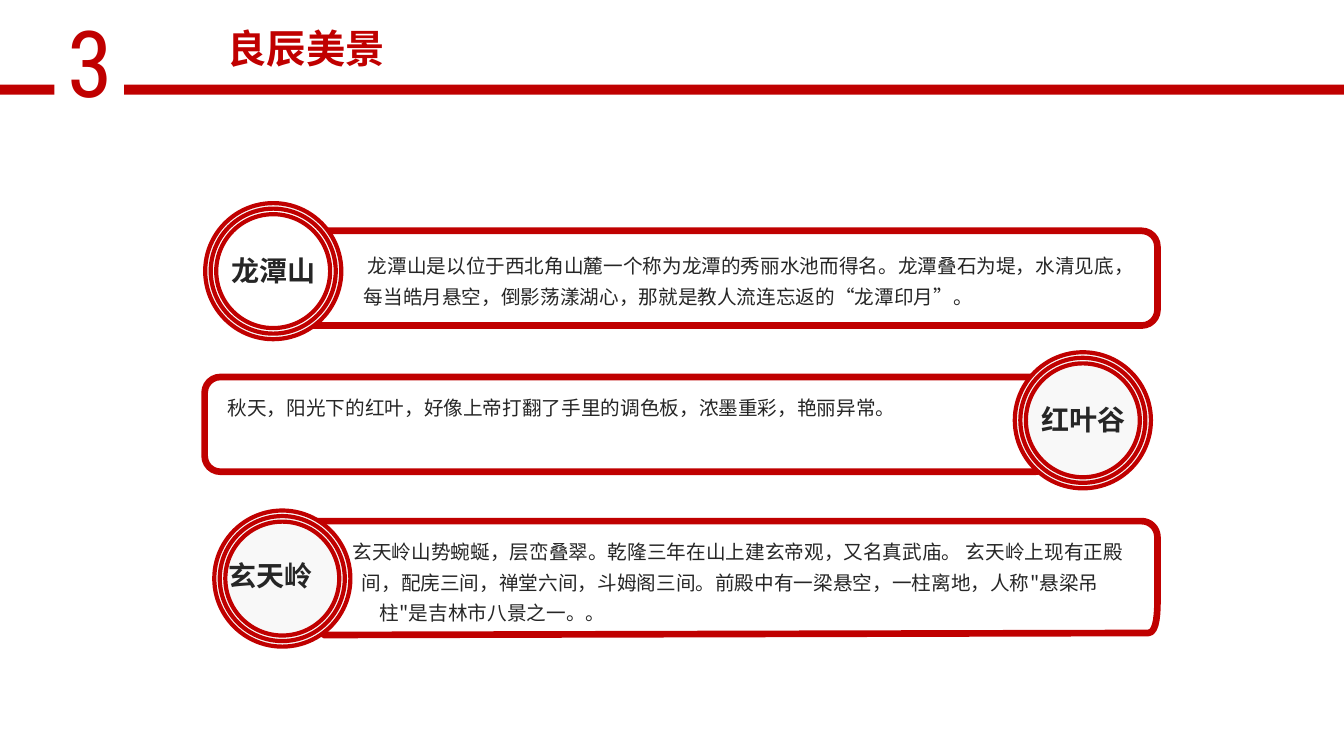
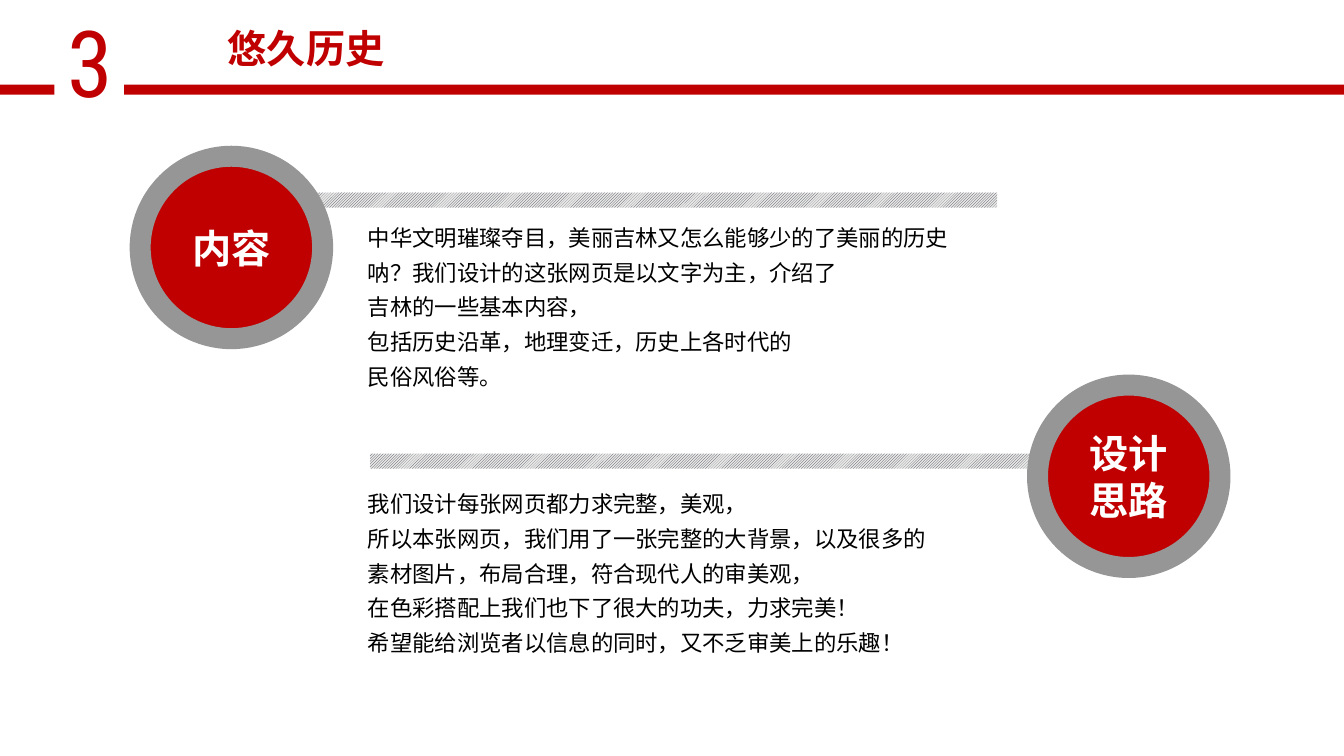
from lxml import etree
from pptx import Presentation
from pptx import util as u
from pptx.dml.color import RGBColor
from pptx.enum import dml, shapes, text
from pptx.oxml.ns import qn

W, H = 13.33, 7.5
RED, GREY, INK = "C00000", "969696", "262626"
CJK, DIGIT = "Noto Sans CJK SC", "Roboto Condensed"
SHAPE = shapes.MSO_SHAPE
CENTER, LEFT = text.PP_ALIGN.CENTER, text.PP_ALIGN.LEFT

SECTION = "3"
RULE_TOP, RULE_H = 0.84, 0.1
RULES = [(1.23, 12.11), (-0.03, 0.57)]  # left, width

# Scenery: bar and body are left, top, width, height; indents are
# (left margin, first line) for each paragraph
RINGS = [1.35, 1.24, 1.13]
SCENERY = [
    dict(name="龙潭山", disc=(2.71, 2.69), label=(2.71, 2.7), fill="FFFFFF",
         bar=(2.96, 2.29, 8.52, 0.94), body=(3.51, 2.4, 7.81, 0.71),
         indents=[(0, 0.04)],
         lines=["龙潭山是以位于西北角山麓一个称为龙潭的秀丽水池而得名。龙潭叠石为堤，水清见底，"
                "每当皓月悬空，倒影荡漾湖心，那就是教人流连忘返的“龙潭印月”。"]),
    dict(name="红叶谷", disc=(10.74, 4.17), label=(10.75, 4.17), fill="F8F8F8",
         bar=(2.03, 3.74, 8.4, 0.94), body=(2.16, 3.81, 7.84, 0.67),
         indents=[(0, 0)],
         lines=["秋天，阳光下的红叶，好像上帝打翻了手里的调色板，浓墨重彩，艳丽异常。"]),
    dict(name="玄天岭", disc=(2.8, 5.74), label=(2.68, 5.72), fill="F8F8F8",
         bar=None, body=(3.36, 5.24, 8.11, 1.01),
         indents=[(0.31, -0.27), (0.31, -0.18)],
         lines=["玄天岭山势蜿蜒，层峦叠翠。乾隆三年在山上建玄帝观，又名真武庙。 玄天岭上现有正殿",
                "间，配庑三间，禅堂六间，斗姆阁三间。前殿中有一梁悬空，一柱离地，人称\"悬梁吊柱\"是吉林市八景之一。。"]),
]
# Uneven frame: two numbers are a straight side, six are a curve
FRAME_START = (2.96, 5.33)
FRAME = [(2.96, 5.24, 3.03, 5.17, 3.11, 5.17), (11.32, 5.17),
         (11.41, 5.17, 11.48, 5.24, 11.48, 5.33), (11.48, 5.95),
         (11.48, 6.04, 11.48, 6.28, 11.39, 6.28), (3.21, 6.3), (3.11, 6.11),
         (3.03, 6.11, 2.96, 6.04, 2.96, 5.95)]

DISC, STRIPE_W, STRIPE_H = 1.81, 6.85, 0.15
HISTORY = [
    dict(name=["内容"], disc=(1.39, 1.55), stripe=(3.04, 1.91), body_top=2.09,
         lines=["中华文明璀璨夺目，美丽吉林又怎么能够少的了美丽的历史",
                "呐？我们设计的这张网页是以文字为主，介绍了",
                "吉林的一些基本内容，",
                "包括历史沿革，地理变迁，历史上各时代的",
                "民俗风俗等。"]),
    dict(name=["设计", "思路"], disc=(10.29, 3.82), stripe=(3.67, 4.5), body_top=4.73,
         lines=["我们设计每张网页都力求完整，美观，",
                "所以本张网页，我们用了一张完整的大背景，以及很多的",
                "素材图片，布局合理，符合现代人的审美观，",
                "在色彩搭配上我们也下了很大的功夫，力求完美！",
                "希望能给浏览者以信息的同时，又不乏审美上的乐趣！"]),
]


def rgb(color):
    return RGBColor.from_string(color)


def inches(*lengths):
    return [u.Inches(n) for n in lengths]


def paint(sp, fill=None, line=None, width=0):
    sp.shadow.inherit = False
    if fill:
        sp.fill.solid()
        sp.fill.fore_color.rgb = rgb(fill)
    else:
        sp.fill.background()
    if line:
        sp.line.color.rgb = rgb(line)
        sp.line.width = u.Pt(width)
    else:
        sp.line.fill.background()


def add_shape(s, kind, box, **style):
    sp = s.shapes.add_shape(kind, *inches(*box))
    paint(sp, **style)
    return sp


def write(sp, lines, size, color, font=CJK, bold=False, align=LEFT, spacing=None, indents=None):
    tf = sp.text_frame
    tf.word_wrap = True
    for i, line in enumerate(lines):
        p = tf.paragraphs[0] if i == 0 else tf.add_paragraph()
        p.add_run().text = line
        p.alignment = align
        if spacing:
            p.line_spacing = spacing
        if indents:
            margin, first = inches(*indents[i])
            pPr = p._p.get_or_add_pPr()
            pPr.set("marL", str(margin))
            pPr.set("indent", str(first))
        f = p.font
        f.size, f.bold, f.name = u.Pt(size), bold, font
        f.color.rgb = rgb(color)
        etree.SubElement(f._rPr, qn("a:ea")).set("typeface", font)


def add_text(s, box, lines, size, color, **style):
    write(s.shapes.add_textbox(*inches(*box)), lines, size, color, **style)


def new_slide(prs, title):
    s = prs.slides.add_slide(prs.slide_layouts[6])
    add_text(s, (0.57, 0, 0.34, 1.21), [SECTION], 66, RED, font=DIGIT)
    for left, width in RULES:
        add_shape(s, SHAPE.RECTANGLE, (left, RULE_TOP, width, RULE_H), fill=RED)
    add_text(s, (1.24, 0.19, 3.59, 0.6), [title], 28, RED, bold=True, align=CENTER)
    return s


def curve(a, b, c, d, steps=8):
    """Points along a cubic Bezier curve, without its start."""
    for k in range(1, steps + 1):
        t = k / steps
        v = 1 - t
        yield tuple(v**3 * a[i] + 3 * v * v * t * b[i] + 3 * v * t * t * c[i] + t**3 * d[i]
                    for i in (0, 1))


def add_frame(s):
    points = [FRAME_START]
    for side in FRAME:
        if len(side) == 2:
            points.append(side)
        else:
            points += curve(points[-1], side[:2], side[2:4], side[4:])
    # The builder rounds coordinates to integers, so it gets EMU
    start, *rest = [inches(*point) for point in points]
    builder = s.shapes.build_freeform(*start)
    builder.add_line_segments(rest, close=True)
    paint(builder.convert_to_shape(), line=RED, width=4.75)


def scenery_slide(prs):
    s = new_slide(prs, "良辰美景")
    for place in SCENERY:
        if place["bar"]:
            add_shape(s, SHAPE.ROUNDED_RECTANGLE, place["bar"], line=RED, width=4.75)
        else:
            add_frame(s)
    for place in SCENERY:
        x, y = place["disc"]
        for d, fill in zip(RINGS, ("F8F8F8", place["fill"], None)):
            add_shape(s, SHAPE.OVAL, (x - d / 2, y - d / 2, d, d), fill=fill, line=RED, width=3)
        x, y = place["label"]
        add_text(s, (x - 0.66, y - 0.23, 1.32, 0.46), [place["name"]], 20, INK,
                 bold=True, align=CENTER)
        add_text(s, place["body"], place["lines"], 14, INK, spacing=1.3,
                 indents=place["indents"])


def history_slide(prs):
    s = new_slide(prs, "悠久历史")
    for topic in HISTORY:
        stripe = add_shape(s, SHAPE.RECTANGLE, (*topic["stripe"], STRIPE_W, STRIPE_H))
        stripe.fill.patterned()
        stripe.fill.pattern = dml.MSO_PATTERN.LIGHT_UPWARD_DIAGONAL
        stripe.fill.fore_color.rgb = rgb("414455")
        stripe.fill.back_color.rgb = rgb("E8E8E6")
        disc = add_shape(s, SHAPE.OVAL, (*topic["disc"], DISC, DISC),
                         fill=RED, line=GREY, width=15)
        disc.text_frame.vertical_anchor = text.MSO_ANCHOR.MIDDLE
        write(disc, topic["name"], 28, "FFFFFF", bold=True, align=CENTER)
        add_text(s, (3.55, topic["body_top"], 6.46, 1.85), topic["lines"], 16, "000000",
                 spacing=1.3)


def main():
    prs = Presentation()
    prs.slide_width, prs.slide_height = inches(W, H)
    scenery_slide(prs)
    history_slide(prs)
    prs.save("out.pptx")


if __name__ == "__main__":
    main()
